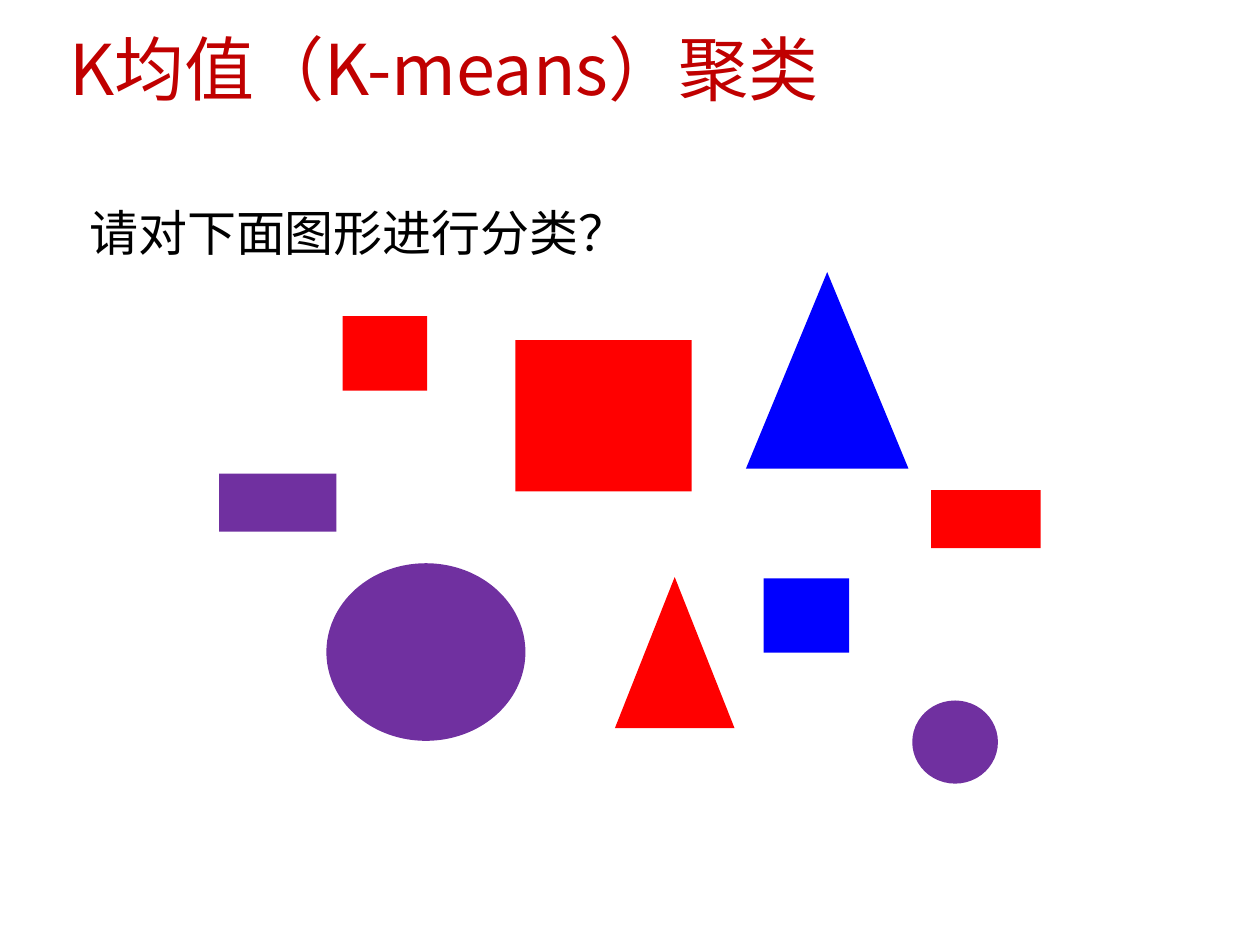
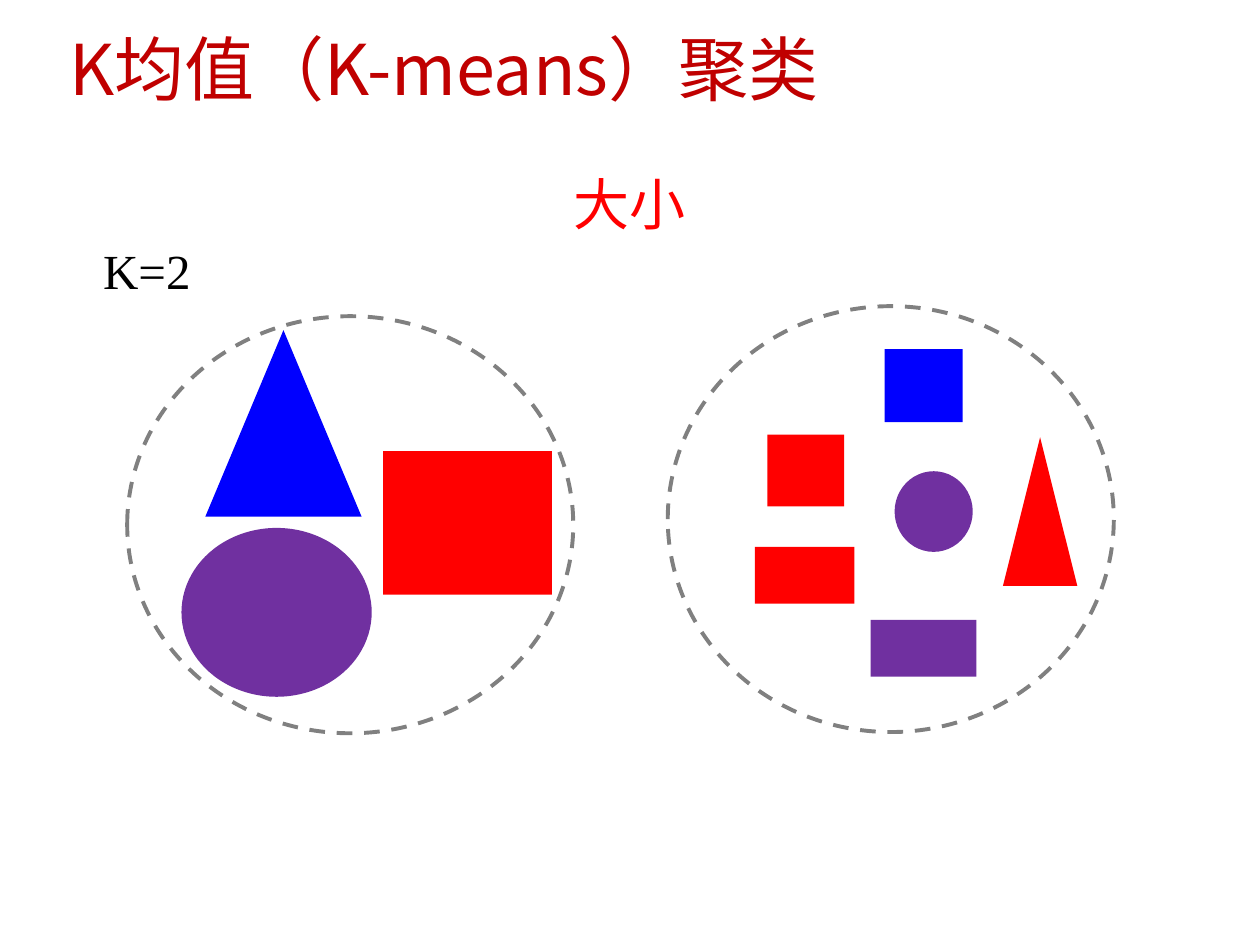
"""Build two slides that sort plain forms by K-means."""
import dataclasses
import typing

import lxml.etree
import pptx
import pptx.dml.color
import pptx.enum.dml
import pptx.enum.shapes
import pptx.enum.text
import pptx.oxml.ns
import pptx.util

Inches = pptx.util.Inches
KIND = pptx.enum.shapes.MSO_SHAPE
BOX, TENT, DISC = KIND.RECTANGLE, KIND.ISOSCELES_TRIANGLE, KIND.OVAL
RED, BLUE, PLUM = "FF0000", "0000FF", "7030A0"
GREY, BLACK, WINE = "808080", "000000", "C00000"
SANS, TITLE_SANS, SERIF = "Noto Sans CJK SC", "Noto Sans CJK JP", "Times New Roman"


@dataclasses.dataclass
class Form:
    """A filled form, or a dashed ring when its fill is None."""
    kind: KIND
    fill: typing.Optional[str]
    left: float
    top: float
    width: float
    height: float


@dataclasses.dataclass
class Label:
    """A line of text with its place and style."""
    text: str
    left: float
    top: float
    width: float
    height: float
    size: int
    font: str
    hue: str
    wrap: bool = True
    lead: float = 1.0


TITLE = Label("K均值（K-means）聚类", 0.45, 0.16, 8.21, 0.72, 40, TITLE_SANS, WINE, lead=0.9)
ASK = Label("请对下面图形进行分类？", 0.61, 1.42, 6.75, 0.87, 28, SANS, BLACK, lead=1.3)
COUNT = Label("K=2", 0.72, 1.86, 1.59, 0.57, 28, SERIF, BLACK)
TRAIT = Label("大小", 4.45, 1.3, 1.1, 0.64, 32, SANS, RED, wrap=False)

MIXED = [
    Form(BOX, RED, 2.72, 2.51, 0.67, 0.59),
    Form(BOX, RED, 4.09, 2.7, 1.4, 1.2),
    Form(BOX, PLUM, 1.74, 3.76, 0.93, 0.46),
    Form(TENT, BLUE, 5.92, 2.16, 1.29, 1.56),
    Form(TENT, RED, 4.88, 4.58, 0.95, 1.2),
    Form(BOX, BLUE, 6.06, 4.59, 0.68, 0.59),
    Form(DISC, PLUM, 2.59, 4.47, 1.58, 1.41),
    Form(DISC, PLUM, 7.24, 5.56, 0.68, 0.66),
    Form(BOX, RED, 7.39, 3.89, 0.87, 0.46),
]
LARGE = [
    Form(BOX, RED, 3.04, 3.58, 1.34, 1.14),
    Form(TENT, BLUE, 1.63, 2.62, 1.24, 1.48),
    Form(DISC, PLUM, 1.44, 4.19, 1.51, 1.34),
    Form(DISC, None, 1.01, 2.51, 3.54, 3.31),
]
SMALL = [
    Form(BOX, RED, 6.09, 3.45, 0.61, 0.57),
    Form(BOX, PLUM, 6.91, 4.92, 0.84, 0.45),
    Form(TENT, RED, 7.96, 3.47, 0.59, 1.18),
    Form(BOX, BLUE, 7.02, 2.77, 0.62, 0.58),
    Form(DISC, PLUM, 7.1, 3.74, 0.62, 0.64),
    Form(BOX, RED, 5.99, 4.34, 0.79, 0.45),
    Form(DISC, None, 5.3, 2.43, 3.54, 3.38),
]


def tint(target: typing.Any, hue: str) -> None:
    target.rgb = pptx.dml.color.RGBColor.from_string(hue)


def place(item: Form | Label) -> tuple:
    return tuple(Inches(n) for n in (item.left, item.top, item.width, item.height))


def write(shape: typing.Any, label: Label) -> None:
    frame = shape.text_frame
    frame.text = label.text
    frame.word_wrap = label.wrap
    frame.auto_size = pptx.enum.text.MSO_AUTO_SIZE.NONE
    para = frame.paragraphs[0]
    para.alignment = pptx.enum.text.PP_ALIGN.LEFT
    para.line_spacing = label.lead
    para.font.size = pptx.util.Pt(label.size)
    tint(para.font.color, label.hue)
    para.font.name = label.font
    style = para._p.pPr.find(pptx.oxml.ns.qn("a:defRPr"))
    lxml.etree.SubElement(style, pptx.oxml.ns.qn("a:ea"), typeface=label.font)


def draw_forms(slide: typing.Any, forms: list[Form]) -> None:
    group = slide.shapes.add_group_shape()
    for form in forms:
        shape = group.shapes.add_shape(form.kind, *place(form))
        shape.shadow.inherit = False
        if form.fill:
            shape.fill.solid()
            tint(shape.fill.fore_color, form.fill)
            shape.line.fill.background()
        else:
            shape.fill.background()
            tint(shape.line.color, GREY)
            shape.line.width = pptx.util.Pt(2.25)
            shape.line.dash_style = pptx.enum.dml.MSO_LINE.DASH


def add_slide(deck: typing.Any, groups: list[list[Form]], labels: list[Label]) -> None:
    slide = deck.slides.add_slide(deck.slide_layouts[5])
    title = slide.shapes.title
    title.left, title.top, title.width, title.height = place(TITLE)
    write(title, TITLE)
    title.text_frame.margin_top = Inches(0.16)
    title.text_frame.vertical_anchor = pptx.enum.text.MSO_ANCHOR.MIDDLE
    for forms in groups:
        draw_forms(slide, forms)
    for label in labels:
        write(slide.shapes.add_textbox(*place(label)), label)


def main() -> None:
    deck = pptx.Presentation()
    deck.slide_width, deck.slide_height = Inches(10), Inches(7.5)
    add_slide(deck, [MIXED], [ASK])
    add_slide(deck, [LARGE, SMALL], [COUNT, TRAIT])
    deck.save("out.pptx")


if __name__ == "__main__":
    main()
